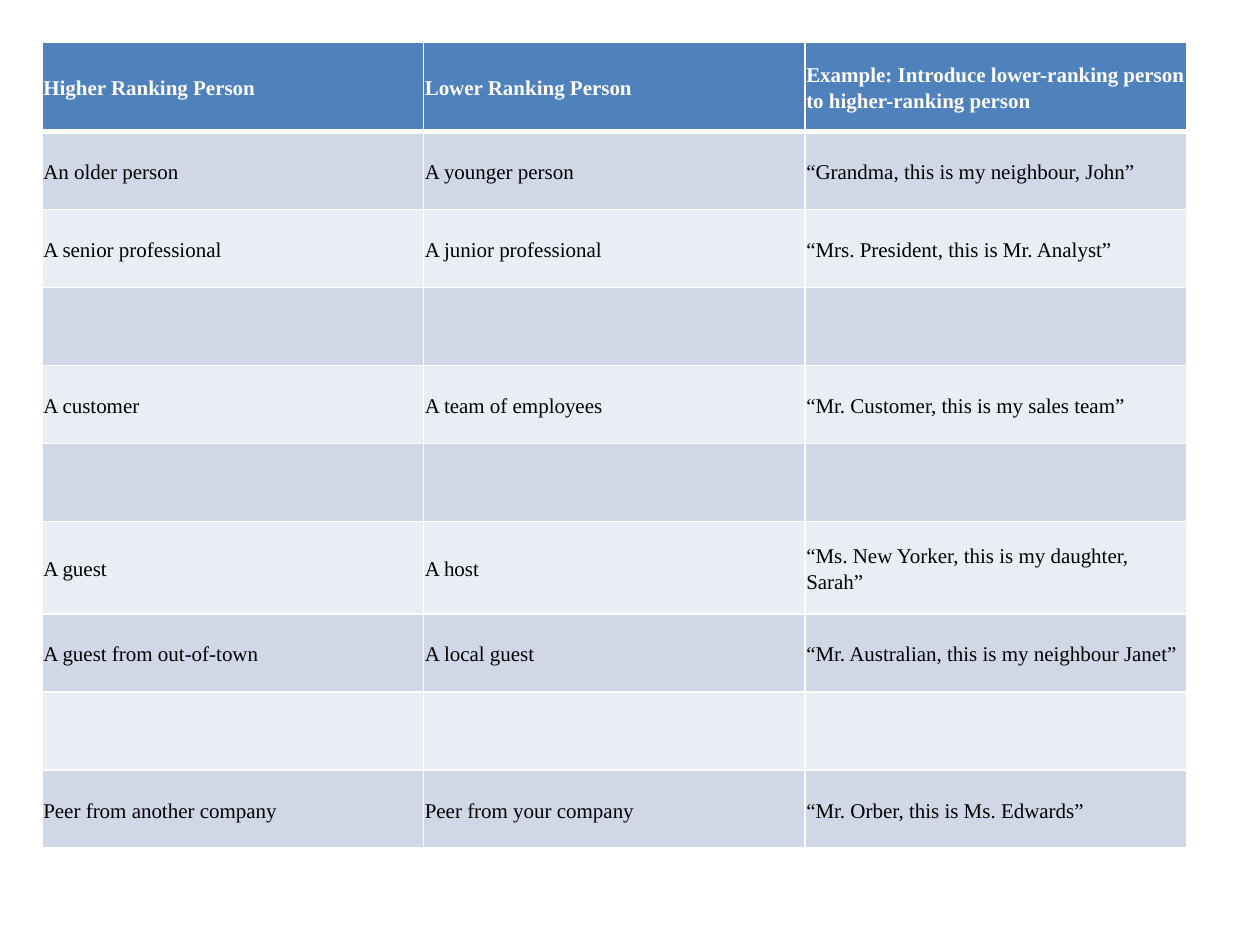
from pptx import Presentation
from pptx.dml.color import RGBColor
from pptx.enum.text import MSO_ANCHOR
from pptx.util import Pt
from lxml.etree import SubElement
from pptx.oxml.ns import qn


def color(code):
    return RGBColor.from_string(code)


def write(cell, text, font="Times New Roman", size=12, ink="000000",
          bold=False, space=1.15):
    para = cell.text_frame.paragraphs[0]
    para.line_spacing = space
    run = para.add_run()
    run.text = text
    run.font.name = font
    run.font.size = Pt(size)
    run.font.bold = bold
    run.font.color.rgb = color(ink)


class Deck:
    head = "4F81BD"
    bands = "E9EDF4", "D0D8E8"
    white = "FFFFFF"
    inset = Pt(0.75)

    def __init__(self, wide, high):
        self.file = Presentation()
        self.file.slide_width, self.file.slide_height = Pt(wide), Pt(high)
        self.slide = self.file.slides.add_slide(self.file.slide_layouts[6])

    def edge(self, cell, side, width):
        line = SubElement(cell._tc.get_or_add_tcPr(), qn(f"a:ln{side}"),
                          w=str(Pt(width)))
        fill = SubElement(line, qn("a:solidFill"))
        SubElement(fill, qn("a:srgbClr"), val=self.white)

    def cell(self, cell, text, row):
        # Borders come before the fill in the cell's XML
        for side in "LRTB":
            thick = (row == 0 and side == "B") or (row == 1 and side == "T")
            self.edge(cell, side, 3 if thick else 1)
        cell.fill.solid()
        cell.fill.fore_color.rgb = color(self.bands[row % 2] if row else self.head)
        cell.vertical_anchor = MSO_ANCHOR.MIDDLE
        cell.margin_left = cell.margin_right = self.inset
        cell.margin_top = cell.margin_bottom = self.inset
        if text:
            write(cell, text, bold=row == 0,
                  ink="000000" if row else self.white)

    def table(self, left, top, width, rows, highs):
        cols = len(rows[0])
        grid = self.slide.shapes.add_table(
            len(rows), cols, Pt(left), Pt(top), Pt(width), Pt(sum(highs))).table
        for col in grid.columns:
            col.width = Pt(width / cols)
        for i, (texts, high) in enumerate(zip(rows, highs)):
            grid.rows[i].height = Pt(high)
            for j, text in enumerate(texts):
                self.cell(grid.cell(i, j), text, i)


# Who is introduced to whom
blank = ("", "", "")
ranks = [
    ("Higher Ranking Person", "Lower Ranking Person",
     "Example: Introduce lower-ranking person to higher-ranking person"),
    ("An older person", "A younger person",
     "“Grandma, this is my neighbour, John”"),
    ("A senior professional", "A junior professional",
     "“Mrs. President, this is Mr. Analyst”"),
    blank,
    ("A customer", "A team of employees",
     "“Mr. Customer, this is my sales team”"),
    blank,
    ("A guest", "A host", "“Ms. New Yorker, this is my daughter, Sarah”"),
    ("A guest from out-of-town", "A local guest",
     "“Mr. Australian, this is my neighbour Janet”"),
    blank,
    ("Peer from another company", "Peer from your company",
     "“Mr. Orber, this is Ms. Edwards”"),
]

# Even rows, with a taller head and a taller two-line row
highs = [44.6] * len(ranks)
highs[0], highs[6] = 51, 53

deck = Deck(720, 540)
deck.table(24, 24, 654, ranks, highs)
deck.file.save("out.pptx")
